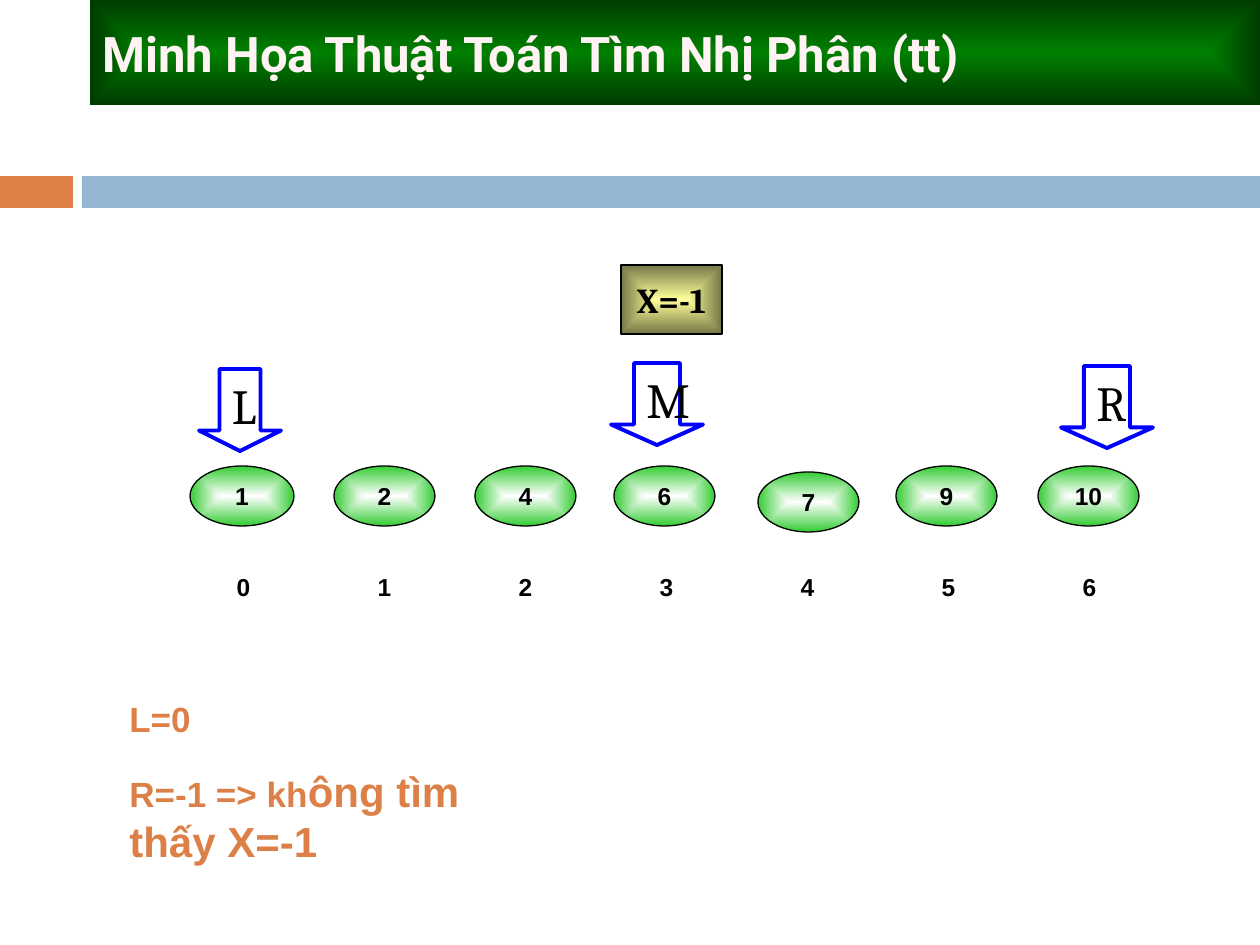
from dataclasses import dataclass

from lxml.etree import SubElement
from pptx import Presentation
from pptx.dml.color import RGBColor
from pptx.enum.shapes import MSO_SHAPE
from pptx.enum.text import MSO_ANCHOR, MSO_AUTO_SIZE, PP_ALIGN
from pptx.oxml.ns import qn
from pptx.util import Emu, Pt

PX_PER_INCH = 126


@dataclass(frozen=True)
class Theme:
    accent: str = "DD8047"
    band: str = "94B6D2"
    black: str = "000000"
    pointer: str = "0000FF"
    title_text: str = "FFF3F3"
    title_fill: tuple = ("008000", "003B00")
    node_fill: tuple = ("FFFFFF", "33CC33")
    target_fill: tuple = ("FFFF99", "767647")
    title_font: str = "Roboto"
    body_font: str = "Arial"
    label_font: str = "Cambria"
    small: int = 14
    medium: int = 20
    large: int = 24
    heading: int = 28


def px(length):
    return Emu(round(length * 914400 / PX_PER_INCH))


def add_text(paragraph, text, *, size, font, color, bold=True, align=PP_ALIGN.LEFT):
    paragraph.alignment = align
    run = paragraph.add_run()
    run.text = text
    run.font.size = Pt(size)
    run.font.name = font
    run.font.bold = bold
    run.font.color.rgb = RGBColor.from_string(color)


def fill_from_center(shape, colors):
    shape.fill.gradient()
    gradient = shape._element.spPr.find(qn("a:gradFill"))
    for child in list(gradient):
        gradient.remove(child)
    stops = SubElement(gradient, qn("a:gsLst"))
    for position, color in zip(("0", "100000"), colors):
        stop = SubElement(stops, qn("a:gs"), pos=position)
        SubElement(stop, qn("a:srgbClr"), val=color)
    center = SubElement(gradient, qn("a:path"), {"path": "rect"})
    SubElement(center, qn("a:fillToRect"), l="50000", t="50000", r="50000", b="50000")


class SlideBuilder:
    def __init__(self, presentation, theme):
        self.theme = theme
        self.slide = presentation.slides.add_slide(presentation.slide_layouts[5])

    def title(self, text, left, top, width, height):
        theme = self.theme
        shape = self.slide.shapes.title
        shape.left, shape.top = px(left), px(top)
        shape.width, shape.height = px(width), px(height)
        fill_from_center(shape, theme.title_fill)
        frame = shape.text_frame
        frame.auto_size = MSO_AUTO_SIZE.NONE
        frame.vertical_anchor = MSO_ANCHOR.MIDDLE
        add_text(frame.paragraphs[0], text, size=theme.heading,
                 font=theme.title_font, color=theme.title_text)

    def shape(self, kind, left, top, width, height, fill=None, line=None, line_width=0.75):
        shape = self.slide.shapes.add_shape(kind, px(left), px(top), px(width), px(height))
        shape.shadow.inherit = False
        if isinstance(fill, tuple):
            fill_from_center(shape, fill)
        elif fill:
            shape.fill.solid()
            shape.fill.fore_color.rgb = RGBColor.from_string(fill)
        else:
            shape.fill.background()
        if line:
            shape.line.color.rgb = RGBColor.from_string(line)
            shape.line.width = Pt(line_width)
        else:
            shape.line.fill.background()
        return shape

    def ellipse(self, text, left, top, width=101, height=60, fill=None, line=None):
        theme = self.theme
        shape = self.shape(MSO_SHAPE.OVAL, left, top, width, height, fill, line)
        shape.text_frame.vertical_anchor = MSO_ANCHOR.MIDDLE
        add_text(shape.text_frame.paragraphs[0], text, size=theme.small,
                 font=theme.body_font, color=theme.black, align=PP_ALIGN.CENTER)

    def target(self, text, left, top, width, height):
        theme = self.theme
        shape = self.shape(MSO_SHAPE.RECTANGLE, left, top, width, height,
                           theme.target_fill, theme.black)
        shape.text_frame.word_wrap = False
        shape.text_frame.vertical_anchor = MSO_ANCHOR.MIDDLE
        add_text(shape.text_frame.paragraphs[0], text, size=theme.medium,
                 font=theme.label_font, color=theme.black, align=PP_ALIGN.CENTER)

    def pointer(self, text, left, top, width, height=82):
        theme = self.theme
        shape = self.shape(MSO_SHAPE.DOWN_ARROW, left, top, width, height,
                           line=theme.pointer, line_width=2.25)
        shape.adjustments[0] = 0.5
        shape.adjustments[1] = 0.25
        shape.text_frame.vertical_anchor = MSO_ANCHOR.TOP
        add_text(shape.text_frame.paragraphs[0], text, size=theme.heading,
                 font=theme.label_font, color=theme.black, bold=False)

    def result(self, paragraphs, left, top, width, height):
        theme = self.theme
        box = self.slide.shapes.add_textbox(px(left), px(top), px(width), px(height))
        frame = box.text_frame
        frame.word_wrap = True
        for index, runs in enumerate(paragraphs):
            paragraph = frame.add_paragraph() if index else frame.paragraphs[0]
            if index:
                paragraph.space_before = Pt(15)
            for text, size in runs:
                add_text(paragraph, text, size=size, font=theme.body_font, color=theme.accent)


def main():
    presentation = Presentation()
    presentation.slide_width = px(1260)
    presentation.slide_height = px(945)
    theme = Theme()
    builder = SlideBuilder(presentation, theme)

    builder.shape(MSO_SHAPE.RECTANGLE, 0, 176, 73, 32, theme.accent)
    builder.shape(MSO_SHAPE.RECTANGLE, 82, 176, 1178, 32, theme.band)
    builder.title("Minh Họa Thuật Toán Tìm Nhị Phân (tt)", 90, 0, 1170, 105)
    builder.target("X=-1", 621, 265, 101, 69)

    nodes = [("1", 190, 466, 104), ("2", 334, 466, 101), ("4", 475, 466, 101),
             ("6", 614, 466, 101), ("7", 758, 472, 101), ("9", 896, 466, 101),
             ("10", 1038, 466, 101)]
    for index, (value, left, top, width) in enumerate(nodes):
        builder.ellipse(value, left, top, width, fill=theme.node_fill, line=theme.black)
        builder.ellipse(str(index), 193 + 141 * index, 557)

    for name, left, top, width in [("L", 199, 369, 82), ("M", 611, 363, 92),
                                   ("R", 1061, 366, 92)]:
        builder.pointer(name, left, top, width)

    builder.result([[("L=0", theme.medium)],
                    [("R=-1 => kh", theme.medium), ("ông tìm thấy X=-1", theme.large)]],
                   117, 691, 431, 181)
    presentation.save("out.pptx")


if __name__ == "__main__":
    main()
